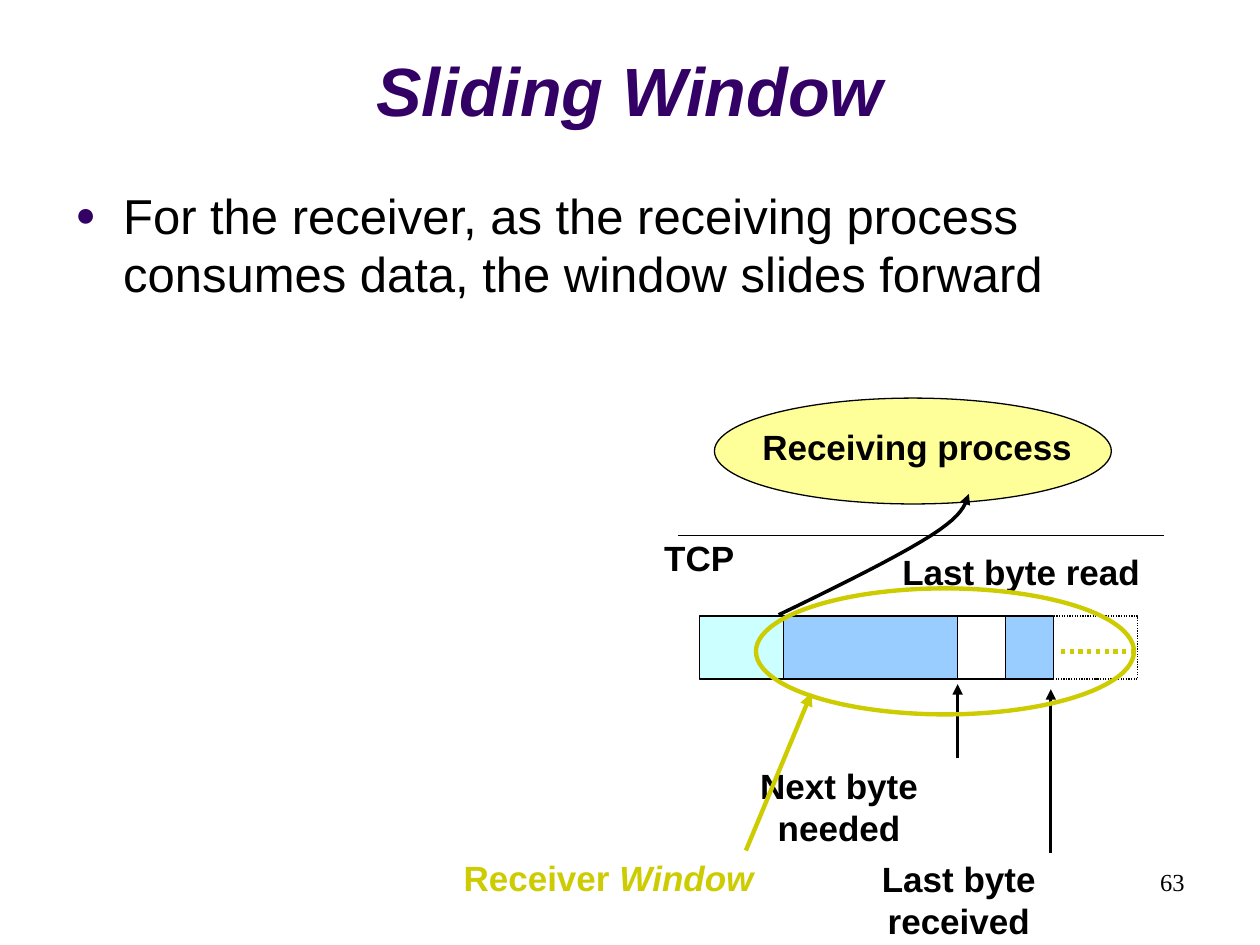
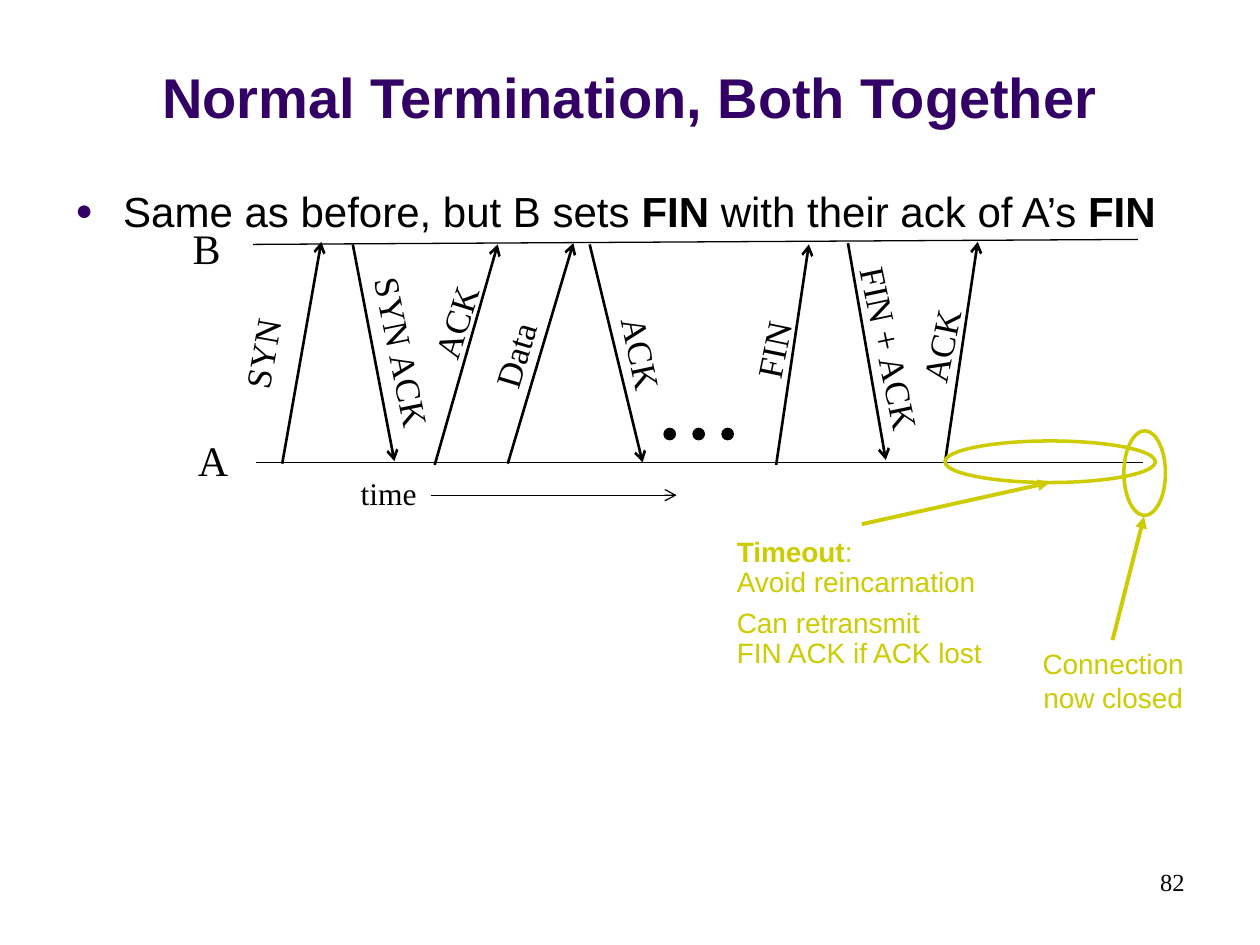
from dataclasses import dataclass

from lxml import etree
from pptx import Presentation
from pptx.dml.color import RGBColor
from pptx.enum.dml import MSO_LINE
from pptx.enum.shapes import MSO_CONNECTOR, MSO_SHAPE
from pptx.enum.text import MSO_ANCHOR, PP_ALIGN
from pptx.oxml.ns import qn
from pptx.util import Inches, Pt

LEFT, CENTER, RIGHT = PP_ALIGN.LEFT, PP_ALIGN.CENTER, PP_ALIGN.RIGHT
TOP, MIDDLE, BOTTOM = MSO_ANCHOR.TOP, MSO_ANCHOR.MIDDLE, MSO_ANCHOR.BOTTOM
RECT, OVAL = MSO_SHAPE.RECTANGLE, MSO_SHAPE.OVAL
STRAIGHT = MSO_CONNECTOR.STRAIGHT
DOTTED = MSO_LINE.ROUND_DOT


@dataclass(frozen=True)
class Theme:
    sans: str = "Arial"
    serif: str = "Times New Roman"
    accent: str = "330066"
    ink: str = "000000"
    highlight: str = "CCCC00"
    process: str = "FFFF99"
    consumed: str = "CCFFFF"
    buffered: str = "99CCFF"
    gap: str = "FFFFFF"
    label: int = 20
    station: int = 24
    axis: int = 18
    note: int = 16
    page: int = 14


def child(parent, tag, **attributes):
    return etree.SubElement(parent, qn(tag), attributes)


def bezier(start, control1, control2, end, steps=10):
    """Points along a cubic curve, without its start."""
    for step in range(1, steps + 1):
        t = step / steps
        u = 1 - t
        yield tuple(u**3 * a + 3 * u * u * t * b + 3 * u * t * t * c + t**3 * d
                    for a, b, c, d in zip(start, control1, control2, end))


class Deck:
    def __init__(self, theme):
        self.theme = theme
        self.presentation = Presentation()
        self.presentation.slide_width = Inches(10)
        self.presentation.slide_height = Inches(7.5)
        self.slide = None

    def new_slide(self, title, title_size, body, body_size, number, italic=False):
        """Start a slide with its title, bullet and page number."""
        t = self.theme
        self.slide = self.presentation.slides.add_slide(
            self.presentation.slide_layouts[6])
        self.text((0, 0.13, 10, 0.95), [[(title, True, italic)]], title_size,
                  color=t.accent, anchor=BOTTOM, wrap=True)
        bullet = self.text((0.5, 1.42, 9.33, 5.29), [body], body_size,
                           align=LEFT, anchor=TOP, wrap=True)
        self.bullet(bullet.paragraphs[0])
        self.text((7.17, 6.83, 2.33, 0.5), [[(number,)]], t.page, font=t.serif,
                  align=RIGHT, anchor=TOP, wrap=True)

    def bullet(self, paragraph):
        properties = paragraph._p.get_or_add_pPr()
        properties.set("marL", str(Inches(0.38)))
        properties.set("indent", str(-Inches(0.38)))
        child(child(properties, "a:buClr"), "a:srgbClr", val=self.theme.accent)
        child(properties, "a:buSzPct", val="70000")
        child(properties, "a:buFont", typeface=self.theme.sans)
        child(properties, "a:buChar", char="●")

    def text(self, box, paragraphs, size, font=None, color=None, align=CENTER,
             anchor=MIDDLE, wrap=False, rotation=0):
        """Each paragraph is a list of runs: (text, bold, italic)."""
        shape = self.slide.shapes.add_textbox(*map(Inches, box))
        shape.rotation = rotation
        frame = shape.text_frame
        frame.word_wrap = wrap
        frame.vertical_anchor = anchor
        for index, runs in enumerate(paragraphs):
            paragraph = frame.add_paragraph() if index else frame.paragraphs[0]
            paragraph.alignment = align
            for content, *style in runs:
                bold, italic = (style + [False, False])[:2]
                for row, line in enumerate(content.split("\n")):
                    if row:
                        paragraph.add_line_break()
                    run = paragraph.add_run()
                    run.text = line
                    run.font.name = font or self.theme.sans
                    run.font.size = Pt(size)
                    run.font.bold = bold
                    run.font.italic = italic
                    run.font.color.rgb = RGBColor.from_string(color or self.theme.ink)
        return frame

    def label(self, box, content, anchor=TOP):
        self.text(box, [[(content, True)]], self.theme.label, anchor=anchor)

    def stroke(self, line, color, width, dash=None, arrow=None):
        line.color.rgb = RGBColor.from_string(color or self.theme.ink)
        line.width = Pt(width)
        if dash:
            line.dash_style = dash
        if arrow:
            child(line._get_or_add_ln(), "a:tailEnd", type=arrow)

    def shape(self, kind, box, fill=None, color=None, width=0.75, dash=None):
        shape = self.slide.shapes.add_shape(kind, *map(Inches, box))
        shape.shadow.inherit = False
        if fill:
            shape.fill.solid()
            shape.fill.fore_color.rgb = RGBColor.from_string(fill)
        else:
            shape.fill.background()
        self.stroke(shape.line, color, width, dash)

    def line(self, start, end, color=None, width=0.75, dash=None, arrow=None):
        connector = self.slide.shapes.add_connector(
            STRAIGHT, *map(Inches, start + end))
        child(connector._element.spPr, "a:effectLst")
        # The line goes before the effect list
        self.stroke(connector.line, color, width, dash, arrow)

    def curve(self, start, segments, width, arrow):
        points = []
        for segment in segments:
            points += bezier(points[-1] if points else start, *segment)
        builder = self.slide.shapes.build_freeform(
            *map(Inches, start), scale=1.0)
        builder.add_line_segments(
            [tuple(map(Inches, point)) for point in points], close=False)
        outline = builder.convert_to_shape()
        outline.shadow.inherit = False
        outline.fill.background()
        self.stroke(outline.line, None, width, arrow=arrow)


def sliding_window(deck):
    t = deck.theme
    deck.new_slide("Sliding Window", 39,
                   [("For the receiver, as the receiving process consumes data, "
                     "the window slides forward",)], 28, "63", italic=True)

    # Receiving process above the TCP boundary
    deck.shape(OVAL, (5.67, 3.16, 3.15, 0.84), t.process)
    deck.label((5.95, 3.33, 2.66, 0.43), "Receiving process")
    deck.line((5.38, 4.25), (9.24, 4.25))
    deck.label((5.17, 4.21, 0.76, 0.43), "TCP")

    # Byte buffer: neighbouring cells share their edges
    edges = [5.55, 6.22, 7.6, 7.98, 8.36, 9.03]
    fills = [t.consumed, t.buffered, t.gap, t.buffered, None]
    for left, right, fill in zip(edges, edges[1:], fills):
        deck.shape(RECT, (left, 4.89, right - left, 0.5), fill,
                   dash=None if fill else DOTTED)

    # Pointers into the buffer
    deck.curve((6.18, 4.88), [((6.66, 4.65), (7.14, 4.41), (7.39, 4.25)),
                              ((7.64, 4.09), (7.66, 4.01), (7.69, 3.92))],
               2, "triangle")
    deck.line((7.6, 6.02), (7.6, 5.43), width=1.5, arrow="triangle")
    deck.label((5.41, 6.02, 2.5, 0.43), "Next byte needed")
    deck.label((7.06, 4.32, 2.09, 0.43), "Last byte read")
    deck.line((8.34, 6.77), (8.34, 5.47), width=1.5, arrow="triangle")
    deck.text((6.51, 6.76, 2.2, 0.74), [[("Last byte received", True)]],
              t.label, anchor=TOP, wrap=True)

    # Receiver window
    deck.shape(OVAL, (6, 4.67, 3, 1), color=t.highlight, width=2.5)
    deck.line((5.92, 6.75), (6.44, 5.5), t.highlight, 2.5, arrow="triangle")
    deck.text((3.58, 6.75, 2.5, 0.43),
              [[("Receiver ", True), ("Window", True, True)]],
              t.label, color=t.highlight)
    deck.line((8.42, 5.17), (9, 5.17), t.highlight, 2.5, DOTTED)


def normal_termination(deck):
    t = deck.theme
    deck.new_slide("Normal Termination, Both Together", 32,
                   [("Same as before, but B sets ",), ("FIN", True),
                    (" with their ack of A’s ",), ("FIN", True)], 24, "82")

    # Messages: start, end, label, label left, top and width, rotation
    messages = [
        ((2.24, 3.68), (2.55, 1.92), "SYN", 1.7, 2.59, 0.76, 280.1),
        ((2.8, 1.94), (3.13, 3.66), "SYN ACK", 2.49, 2.58, 1.41, 78.5),
        ((3.45, 3.69), (3.95, 1.94), "ACK", 3.22, 2.34, 0.79, 287.4),
        ((4.03, 3.68), (4.55, 1.93), "Data", 3.72, 2.6, 0.73, 286.7),
        ((4.68, 1.94), (5.1, 3.67), "ACK", 4.7, 2.59, 0.79, 77.9),
        ((6.16, 3.69), (6.42, 1.94), "FIN", 5.81, 2.56, 0.65, 281.6),
        ((6.73, 1.93), (7.03, 3.65), "FIN + ACK", 6.3, 2.55, 1.53, 78.1),
        ((7.5, 3.67), (7.76, 1.92), "ACK", 7.07, 2.53, 0.79, 281.6),
    ]
    for start, end, name, left, top, width, rotation in messages:
        deck.line(start, end, width=1.5, arrow="arrow")
        deck.text((left, top, width, 0.43), [[(name,)]], t.label, t.serif,
                  rotation=rotation)

    # Stations and time axis
    deck.line((2.01, 1.94), (9.03, 1.9))
    deck.line((2.03, 3.67), (9.07, 3.67))
    deck.line((3.42, 3.93), (5.37, 3.93), arrow="arrow")
    for box, name, size in [((2.76, 3.71, 0.65, 0.4), "time", t.axis),
                            ((1.47, 3.4, 0.44, 0.5), "A", t.station),
                            ((1.43, 1.72, 0.42, 0.5), "B", t.station)]:
        deck.text(box, [[(name,)]], size, t.serif)
    for step in range(3):
        deck.shape(OVAL, (5.27 + 0.23 * step, 3.4, 0.09, 0.09), t.ink)

    # Connection closed
    deck.line((8.83, 5.08), (9.08, 4.1), t.highlight, 2.25, arrow="triangle")
    deck.shape(OVAL, (8.92, 3.42, 0.33, 0.67), color=t.highlight, width=2)
    deck.text((8.17, 5.08, 1.33, 0.64), [[("Connection\nnow closed",)]],
              t.note, color=t.highlight)

    # Timeout
    deck.line((6.84, 4.16), (8.33, 3.83), t.highlight, 2.25, arrow="triangle")
    deck.shape(OVAL, (7.5, 3.5, 1.67, 0.33), color=t.highlight, width=2)
    timeout = deck.text((5.75, 4.16, 2.17, 1.24),
                        [[("Timeout", True), (":",)],
                         [("Avoid reincarnation",)],
                         [("Can retransmit\nFIN ACK if ACK lost",)]],
                        t.note, color=t.highlight, align=LEFT)
    for paragraph, spacing in zip(timeout.paragraphs[1:], (0.4, 0.9)):
        paragraph.line_spacing = spacing
        paragraph.space_before = Pt(8)


def main():
    deck = Deck(Theme())
    sliding_window(deck)
    normal_termination(deck)
    deck.presentation.save("out.pptx")


if __name__ == "__main__":
    main()
